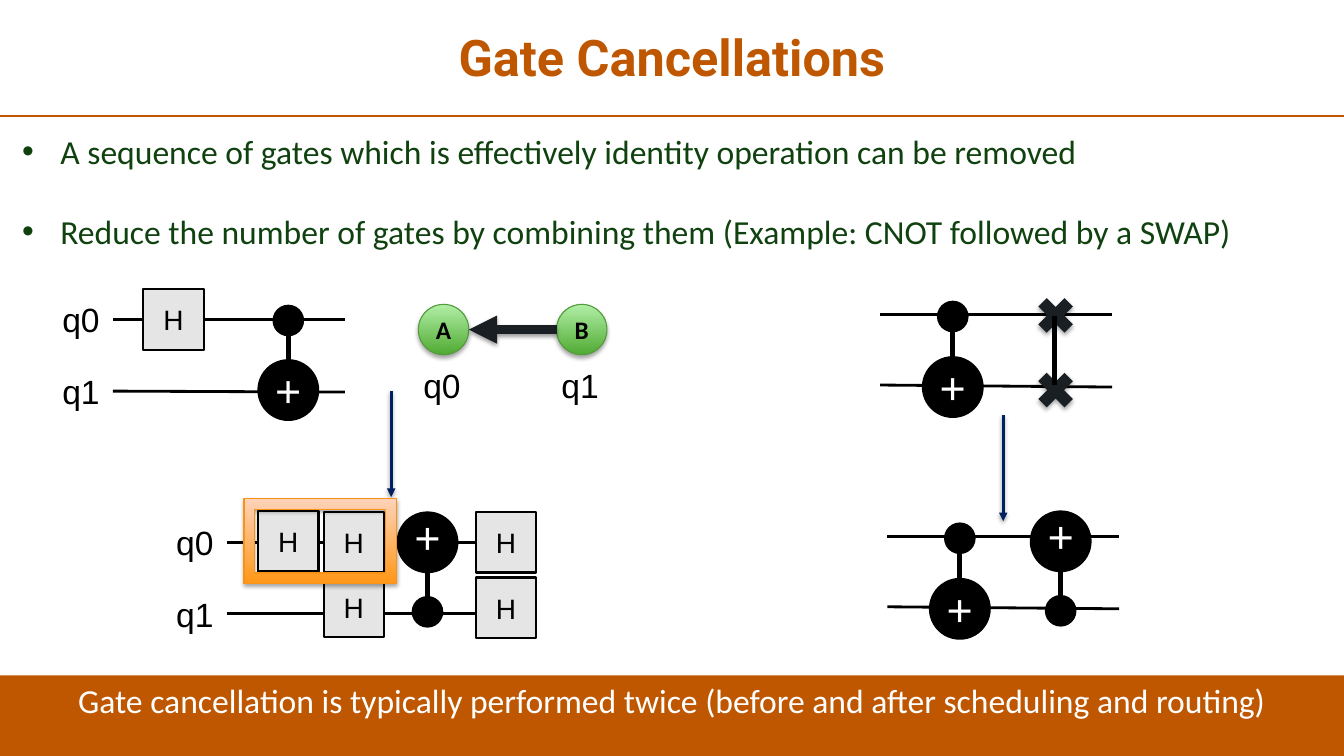
from dataclasses import dataclass
from math import copysign

from lxml.etree import SubElement
from pptx import Presentation
from pptx.dml.color import RGBColor as Rgb
from pptx.enum.shapes import MSO_CONNECTOR as Link, MSO_SHAPE as Shape
from pptx.enum.text import MSO_ANCHOR as Anchor, PP_ALIGN as Align
from pptx.oxml.ns import qn
from pptx.util import Inches, Pt


@dataclass(frozen=True)
class Theme:
    """Colours, fonts and type sizes of the slide."""
    title: str = "BE5700"
    band: str = "BF5700"
    bullet: str = "104210"
    ink: str = "000000"
    paper: str = "FFFFFF"
    gate: str = "E5E5E5"
    dark: str = "1A1F24"
    navy: str = "002060"
    node: tuple = ("50AA33", "B1EFA6")
    node_edge: str = "549B3D"
    frame: tuple = ("FF9717", "FFD2B9")
    frame_edge: str = "F79319"
    head_font: str = "Roboto"
    body_font: str = "Calibri"
    circuit_font: str = "Arial"
    title_size: int = 36
    plus_size: int = 32
    body_size: int = 24
    gate_size: int = 20
    node_size: int = 18


class CircuitSlide:
    """Draws slide text and quantum circuit parts on one page."""

    def __init__(self, page, theme):
        self.page = page
        self.theme = theme

    def style(self, para, size, color, font, bold=False, align=Align.LEFT):
        para.alignment = align
        para.font.size = Pt(size)
        para.font.name = font
        para.font.bold = bold
        para.font.color.rgb = Rgb.from_string(color)

    def shadow(self, effects, alpha, distance):
        outer = SubElement(effects, qn("a:outerShdw"), blurRad=str(Pt(3.1)), dist=str(Pt(distance)),
                           dir="5400000", rotWithShape="0")
        color = SubElement(outer, qn("a:srgbClr"), val=self.theme.ink)
        SubElement(color, qn("a:alpha"), val=str(alpha * 1000))

    def text_box(self, left, top, width, height):
        box = self.page.shapes.add_textbox(Inches(left), Inches(top), Inches(width), Inches(height))
        box.text_frame.word_wrap = True
        return box

    def shape(self, kind, left, top, width, height, fill, edge=None, weight=1.0, shadow=False):
        shape = self.page.shapes.add_shape(kind, Inches(left), Inches(top), Inches(width), Inches(height))
        shape.shadow.inherit = False
        if isinstance(fill, tuple):
            shape.fill.gradient()
            shape.fill.gradient_angle = 90
            for stop, color in zip(shape.fill.gradient_stops, fill):
                stop.color.rgb = Rgb.from_string(color)
        else:
            shape.fill.solid()
            shape.fill.fore_color.rgb = Rgb.from_string(fill)
        if edge:
            shape.line.color.rgb = Rgb.from_string(edge)
            shape.line.width = Pt(weight)
        else:
            shape.line.fill.background()
        if shadow:
            self.shadow(shape._element.spPr.find(qn("a:effectLst")), 35, 1.8)
        return shape

    def caption(self, shape, text, size, color, font, bold=False):
        frame = shape.text_frame
        frame.margin_left = frame.margin_right = frame.margin_top = frame.margin_bottom = 0
        frame.vertical_anchor = Anchor.MIDDLE
        frame.text = text
        self.style(frame.paragraphs[0], size, color, font, bold, Align.CENTER)

    def line(self, start, end, color, weight, arrow=False):
        line = self.page.shapes.add_connector(Link.STRAIGHT, *map(Inches, start + end))
        line.line.color.rgb = Rgb.from_string(color)
        line.line.width = Pt(weight)
        properties = line._element.spPr
        effects = SubElement(properties, qn("a:effectLst"))
        if arrow:
            SubElement(properties.find(qn("a:ln")), qn("a:tailEnd"), type="triangle")
            self.shadow(effects, 38, 1.6)
        return line

    def title(self, text):
        box = self.text_box(0.09, 0.04, 13.15, 1.11)
        box.text_frame.vertical_anchor = Anchor.MIDDLE
        box.text_frame.text = text
        para = box.text_frame.paragraphs[0]
        self.style(para, self.theme.title_size, self.theme.title, self.theme.head_font, True, Align.CENTER)
        para.line_spacing = 0.9
        self.line((0, 1.15), (13.33, 1.15), self.theme.band, 1.5)

    def footer(self, text):
        band = self.shape(Shape.RECTANGLE, 0, 6.7, 13.33, 0.8, self.theme.band)
        band.text_frame.text = text
        band.text_frame.vertical_anchor = Anchor.TOP
        self.style(band.text_frame.paragraphs[0], self.theme.body_size, self.theme.paper,
                   self.theme.body_font, align=Align.CENTER)

    def bullets(self, items):
        frame = self.text_box(0.12, 1.25, 13.15, 1.31).text_frame
        frame.text = "\n".join(items)
        for para in frame.paragraphs:
            self.style(para, self.theme.body_size, self.theme.bullet, self.theme.body_font, align=Align.JUSTIFY)
            para.space_after = Pt(28)
            properties = para._p.get_or_add_pPr()
            properties.set("marL", str(Inches(0.38)))
            properties.set("indent", str(Inches(-0.38)))
            bullet_font = SubElement(properties, qn("a:buFont"), typeface=self.theme.circuit_font)
            bullet = SubElement(properties, qn("a:buChar"), char="•")
            properties.find(qn("a:defRPr")).addprevious(bullet_font)
            bullet_font.addnext(bullet)

    def label(self, text, left, top):
        box = self.text_box(left, top, 0.6, 0.5)
        box.text_frame.text = text
        self.style(box.text_frame.paragraphs[0], self.theme.body_size, self.theme.ink, self.theme.circuit_font)
        return box

    def wire(self, start, end):
        return self.line(start, end, self.theme.ink, 2)

    def qubit(self, name, left, middle, right, right_middle):
        box = self.label(name, left, middle - 0.25)
        self.wire((left + 0.6, middle), (right, right_middle)).begin_connect(box, 3)

    def gate(self, left, top):
        box = self.shape(Shape.RECTANGLE, left, top, 0.6, 0.6, self.theme.gate, self.theme.ink, 1.5)
        self.caption(box, "H", self.theme.gate_size, self.theme.ink, self.theme.circuit_font)

    def disc(self, x, y, radius):
        return self.shape(Shape.OVAL, x - radius, y - radius, 2 * radius, 2 * radius,
                          self.theme.ink, self.theme.ink)

    def cnot(self, x, control, target):
        way = copysign(1, target - control)
        self.disc(x, control, 0.15)
        self.line((x, control + way * 0.15), (x, target - way * 0.3), self.theme.ink, 3.75)
        disc = self.disc(x, target, 0.3)
        disc.rotation = 0 if way > 0 else 180
        self.caption(disc, "+", self.theme.plus_size, self.theme.paper, self.theme.circuit_font)

    def swap(self, left, top, bottom):
        for y in (top, bottom):
            self.shape(Shape.MATH_MULTIPLY, left, y, 0.5, 0.5, self.theme.dark, shadow=True)
        self.line((left + 0.24, top + 0.26), (left + 0.24, bottom + 0.2), self.theme.ink, 3.75)

    def node(self, letter, left):
        node = self.shape(Shape.OVAL, left, 3.02, 0.5, 0.5, self.theme.node, self.theme.node_edge, 0.75, True)
        self.caption(node, letter, self.theme.node_size, self.theme.ink, self.theme.body_font, True)

    def step_arrow(self, x, top):
        self.line((x, top), (x, top + 1.05), self.theme.navy, 2, True)


def main():
    deck = Presentation()
    deck.slide_width, deck.slide_height = Inches(13.33), Inches(7.5)
    theme = Theme()
    slide = CircuitSlide(deck.slides.add_slide(deck.slide_layouts[6]), theme)

    slide.title("Gate Cancellations")
    slide.footer("Gate cancellation is typically performed twice (before and after scheduling and routing)")
    slide.bullets(["A sequence of gates which is effectively identity operation can be removed",
                   "Reduce the number of gates by combining them (Example: CNOT followed by a SWAP)"])

    slide.qubit("q0", 0.52, 3.17, 3.42, 3.17)
    slide.qubit("q1", 0.52, 3.88, 3.42, 3.89)
    slide.cnot(2.86, 3.18, 3.87)
    slide.gate(1.42, 2.87)

    for letter, name, left in (("A", "q0", 4.15), ("B", "q1", 5.52)):
        slide.node(letter, left)
        slide.label(name, left - 0.05, 3.57)
    slide.line((5.52, 3.27), (4.65, 3.27), theme.dark, 6.75, True)

    for name, middle in (("q0", 5.38), ("q1", 6.09)):
        slide.qubit(name, 1.65, middle, 5.05, middle)
    slide.cnot(4.24, 6.07, 5.38)
    for left, top in ((2.56, 5.07), (3.21, 5.08), (4.72, 5.08), (3.21, 5.72), (4.72, 5.73)):
        slide.gate(left, top)
    slide.step_arrow(3.88, 3.88)
    slide.shape(Shape.FRAME, 2.42, 4.95, 1.51, 0.84, theme.frame, theme.frame_edge, 0.75, True)

    for left, top in ((8.73, 3.12), (8.8, 5.32)):
        slide.wire((left, top), (left + 2.3, top))
        slide.wire((left, top + 0.7), (left + 2.3, top + 0.72))
        slide.cnot(left + 0.72, top + 0.02, top + 0.72)
    slide.swap(10.22, 2.88, 3.62)
    slide.cnot(10.52, 6.06, 5.37)
    slide.step_arrow(9.95, 4.12)

    deck.save("out.pptx")


if __name__ == "__main__":
    main()
